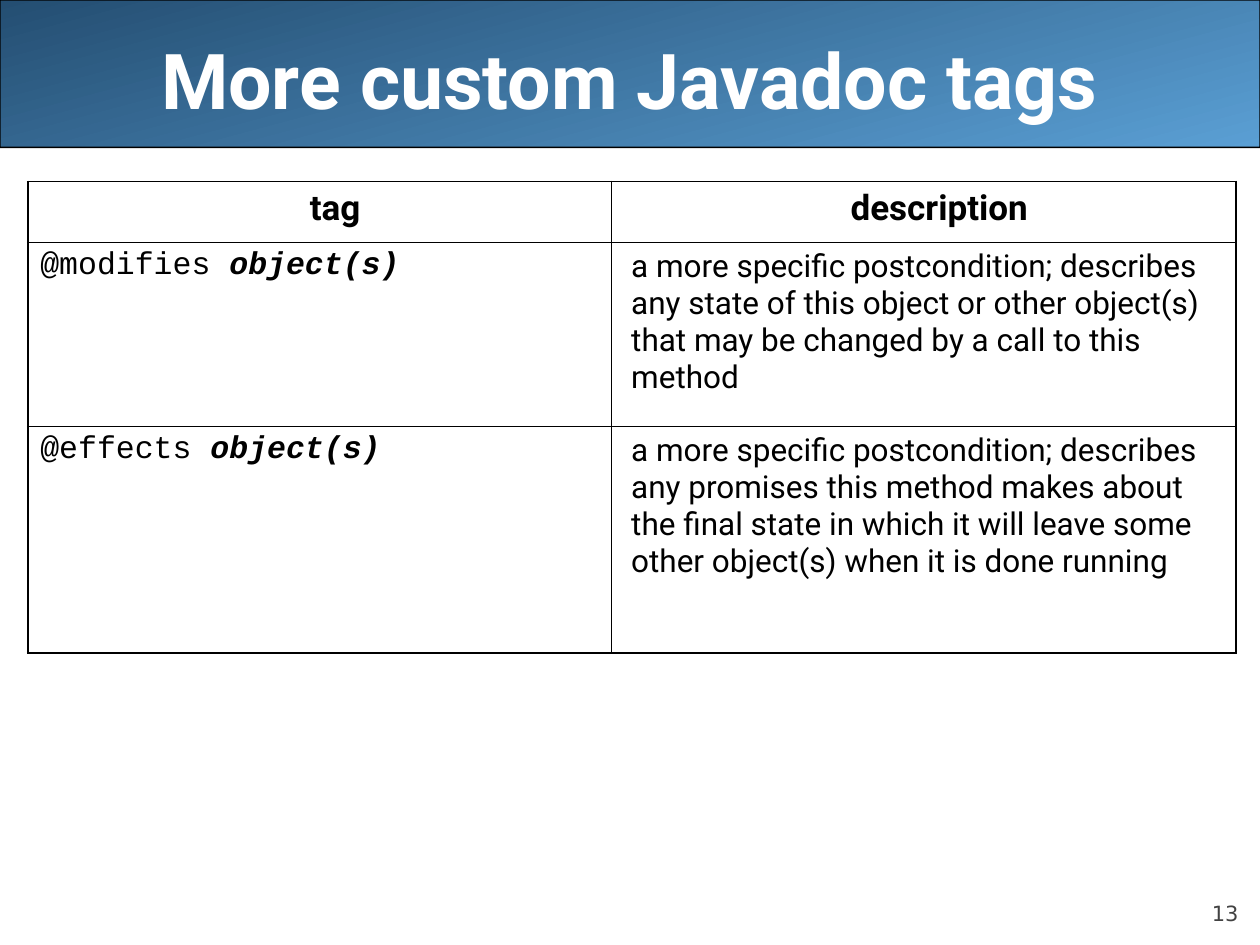
from lxml.etree import SubElement
from pptx import Presentation
from pptx.dml.color import RGBColor
from pptx.enum.shapes import MSO_SHAPE
from pptx.enum.text import MSO_ANCHOR, MSO_AUTO_SIZE, PP_ALIGN
from pptx.oxml.ns import qn
from pptx.util import Inches, Pt

WIDTH, HEIGHT = 10, 7.5
BODY_FONT, CODE_FONT = "Roboto", "Courier New"
THICK, THIN = 1.08, 0.45
COLUMNS = [4.63, 4.96]
ROWS = [0.48, 1.46, 1.8]
TAGS = [
    ("@modifies ", "a more specific postcondition; describes any state of this object "
     "or other object(s) that may be changed by a call to this method"),
    ("@effects ", "a more specific postcondition; describes any promises this method "
     "makes about the final state in which it will leave some other object(s) "
     "when it is done running"),
]


def colour(value):
    return RGBColor.from_string(value)


def inches(box):
    return [Inches(length) for length in box]


def add_span(para, text, size, font=BODY_FONT, fill="000000", bold=False, italic=False):
    span = para.add_run()
    span.text = text
    span.font.size = Pt(size)
    span.font.name = font
    span.font.bold = bold
    span.font.italic = italic
    span.font.color.rgb = colour(fill)


def add_banner(page, box):
    banner = page.shapes.add_shape(MSO_SHAPE.ROUNDED_RECTANGLE, *inches(box))
    banner.adjustments[0] = 0.001
    banner.shadow.inherit = False
    banner.fill.gradient()
    banner.fill.gradient_angle = 285
    for stop, position, value in zip(banner.fill.gradient_stops, (0, 1), ("244E72", "5A9FD4")):
        stop.position = position
        stop.color.rgb = colour(value)
    banner.line.color.rgb = colour("000000")
    banner.line.width = Pt(0.75)
    page.shapes.title.element.addprevious(banner.element)


def add_title(page, box, text):
    title = page.shapes.title
    title.left, title.top, title.width, title.height = inches(box)
    frame = title.text_frame
    frame.auto_size = MSO_AUTO_SIZE.NONE
    frame.vertical_anchor = MSO_ANCHOR.MIDDLE
    para = frame.paragraphs[0]
    para.alignment = PP_ALIGN.CENTER
    add_span(para, text, 44, fill="FFFFFF", bold=True)


def add_page_number(page, box, text):
    frame = page.shapes.add_textbox(*inches(box)).text_frame
    frame.word_wrap = True
    frame.vertical_anchor = MSO_ANCHOR.BOTTOM
    frame.margin_left = frame.margin_right = frame.margin_top = frame.margin_bottom = 0
    para = frame.paragraphs[0]
    para.alignment = PP_ALIGN.RIGHT
    para.space_before = Pt(5)
    add_span(para, text, 12, font="DejaVu Sans", fill="424242")


def set_borders(cell, widths):
    properties = cell._tc.get_or_add_tcPr()
    for index, (side, width) in enumerate(zip(("lnL", "lnR", "lnT", "lnB"), widths)):
        line = properties.makeelement(qn(f"a:{side}"), {"w": str(Pt(width))})
        fill = SubElement(line, qn("a:solidFill"))
        SubElement(fill, qn("a:srgbClr"), val="000000")
        properties.insert(index, line)


def fill_cell(cell, spans, size, indent=0, space=4.5, align=PP_ALIGN.LEFT):
    para = cell.text_frame.paragraphs[0]
    para.alignment = align
    para.space_before = Pt(space)
    para._p.get_or_add_pPr().set("marL", str(Inches(indent)))
    for text, style in spans:
        add_span(para, text, size, **style)


def add_tag_table(page, left, top):
    box = left, top, sum(COLUMNS), sum(ROWS)
    table = page.shapes.add_table(len(ROWS), len(COLUMNS), *inches(box)).table
    table.first_row = table.horz_banding = False
    for column, width in zip(table.columns, COLUMNS):
        column.width = Inches(width)
    for row, height in zip(table.rows, ROWS):
        row.height = Inches(height)

    last_row, last_column = len(ROWS) - 1, len(COLUMNS) - 1
    for r in range(len(ROWS)):
        for c in range(len(COLUMNS)):
            cell = table.cell(r, c)
            cell.fill.background()
            outer = c == 0, c == last_column, r == 0, r == last_row
            set_borders(cell, [THICK if edge else THIN for edge in outer])

    for c, heading in enumerate(("tag", "description")):
        fill_cell(table.cell(0, c), [(heading, {"bold": True})], 20, 0.25, 5, PP_ALIGN.CENTER)
    for r, (tag, description) in enumerate(TAGS, 1):
        argument = {"font": CODE_FONT, "bold": True, "italic": True}
        fill_cell(table.cell(r, 0), [(tag, {"font": CODE_FONT}), ("object(s)", argument)], 18)
        fill_cell(table.cell(r, 1), [(description, {})], 18, 0.06)


def main():
    deck = Presentation()
    deck.slide_width, deck.slide_height = inches((WIDTH, HEIGHT))
    page = deck.slides.add_slide(deck.slide_layouts[5])
    add_banner(page, (0, 0, WIDTH, 1.17))
    add_page_number(page, (0.9 * WIDTH, 6.95, 0.83, 0.4), "13")
    add_title(page, (0.05 * WIDTH, 0, 0.9 * WIDTH, HEIGHT / 6), "More custom Javadoc tags")
    add_tag_table(page, 0.22, 1.44)
    deck.save("out.pptx")


if __name__ == "__main__":
    main()
